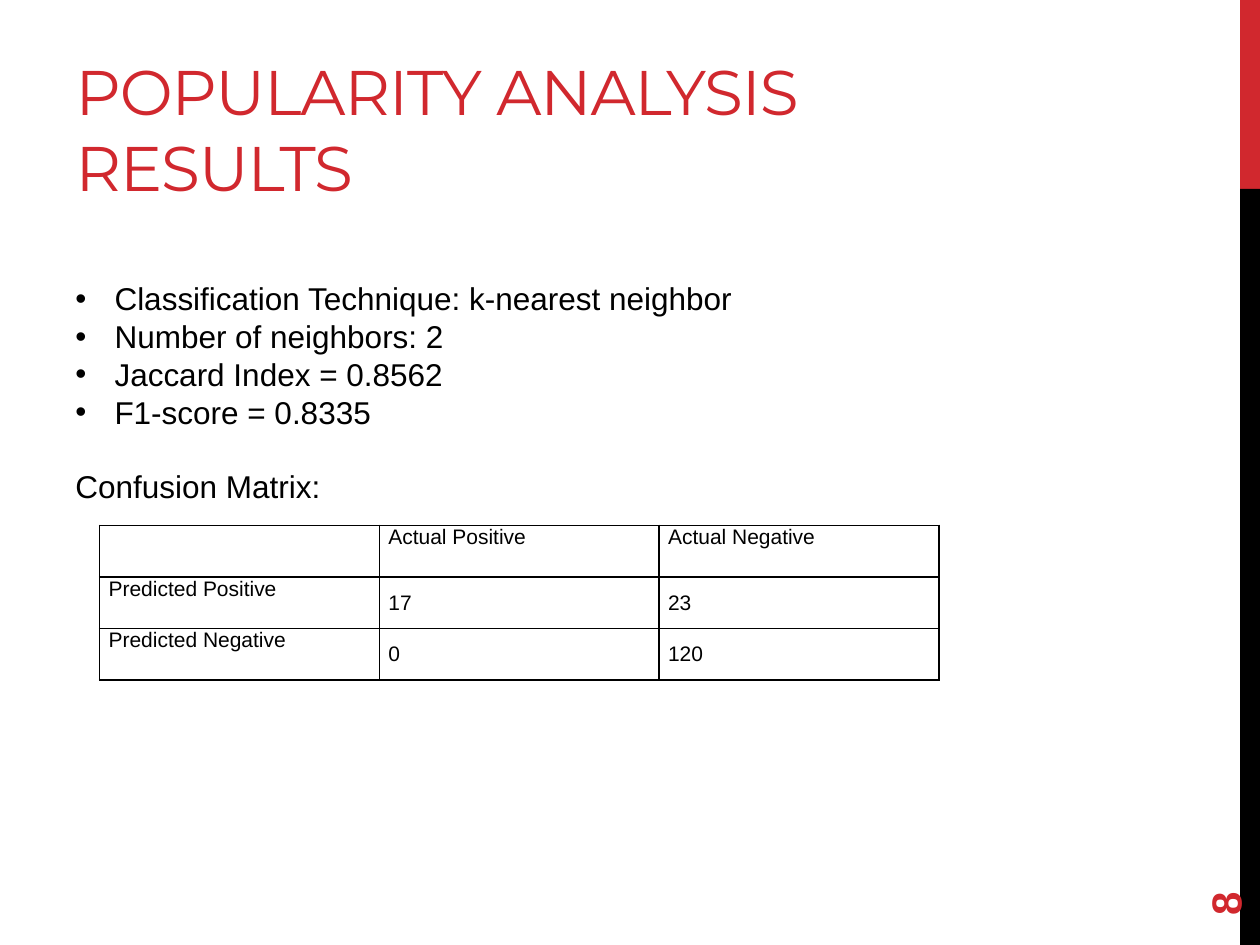
from lxml.etree import SubElement
from pptx import Presentation
from pptx.dml.color import RGBColor
from pptx.enum.shapes import MSO_SHAPE
from pptx.enum.text import MSO_ANCHOR, MSO_AUTO_SIZE, PP_ALIGN
from pptx.oxml.ns import qn
from pptx.util import Cm, Pt

RED, BLACK = "D1282E", "000000"
TITLE = "POPULARITY ANALYSIS\vRESULTS"
PAGE_NUMBER = "8"
FINDINGS = [
    "Classification Technique: k-nearest neighbor",
    "Number of neighbors: 2",
    "Jaccard Index = 0.8562",
    "F1-score = 0.8335",
]
MATRIX_HEADING = "Confusion Matrix:"
CONFUSION_MATRIX = [
    ["", "Actual Positive", "Actual Negative"],
    ["Predicted Positive", "17", "23"],
    ["Predicted Negative", "0", "120"],
]
SIDE_BARS = [(0, 3.81, RED), (3.81, 15.24, BLACK)]
COLUMN_WIDTH, ROW_HEIGHT = 5.64, 1.04


def rgb(value):
    return RGBColor.from_string(value)


def style(paragraph, size, color=BLACK, font="Arial", bold=False):
    paragraph.alignment = PP_ALIGN.LEFT
    for run in paragraph.runs:
        run.font.size = Pt(size)
        run.font.name = font
        run.font.bold = bold
        run.font.color.rgb = rgb(color)


def add_bullet(paragraph):
    properties = paragraph._p.get_or_add_pPr()
    properties.set("marL", str(Cm(0.79)))
    properties.set("indent", str(Cm(-0.79)))
    SubElement(properties, qn("a:buFont"), typeface="Arial")
    SubElement(properties, qn("a:buChar"), char="•")


def add_borders(cell):
    properties = cell._tc.get_or_add_tcPr()
    for side in ("lnL", "lnR", "lnT", "lnB"):
        line = SubElement(properties, qn(f"a:{side}"), w=str(Pt(1)))
        fill = SubElement(line, qn("a:solidFill"))
        SubElement(fill, qn("a:srgbClr"), val=BLACK)


def add_side_bars(slide):
    for top, height, color in SIDE_BARS:
        bar = slide.shapes.add_shape(
            MSO_SHAPE.RECTANGLE, Cm(25), Cm(top), Cm(0.4), Cm(height))
        bar.shadow.inherit = False
        bar.fill.solid()
        bar.fill.fore_color.rgb = rgb(color)
        bar.line.fill.background()


def add_title(slide):
    title = slide.shapes.title
    title.left, title.top, title.width, title.height = Cm(1.27), Cm(0.43), Cm(20.32), Cm(3.81)
    frame = title.text_frame
    frame.text = TITLE
    frame.auto_size = MSO_AUTO_SIZE.NONE
    frame.vertical_anchor = MSO_ANCHOR.BOTTOM
    style(frame.paragraphs[0], 36, RED, "Montserrat")
    for run in frame.paragraphs[0].runs:
        run.font._element.set("spc", "-60")


def add_page_number(slide):
    number = slide.shapes.add_textbox(Cm(22.86), Cm(16.36), Cm(3.66), Cm(1.02))
    number.rotation = 270
    frame = number.text_frame
    frame.word_wrap = True
    frame.vertical_anchor = MSO_ANCHOR.MIDDLE
    frame.text = PAGE_NUMBER
    style(frame.paragraphs[0], 24, RED, bold=True)


def add_findings(slide):
    findings = slide.shapes.add_textbox(Cm(1.27), Cm(5.51), Cm(18.42), Cm(4.88))
    frame = findings.text_frame
    frame.word_wrap = True
    frame.text = "\n".join(FINDINGS + [MATRIX_HEADING])
    for paragraph in frame.paragraphs:
        style(paragraph, 18)
    *bullets, heading = frame.paragraphs
    for paragraph in bullets:
        add_bullet(paragraph)
    heading.space_before = Pt(20.7)


def add_confusion_matrix(slide):
    rows, columns = len(CONFUSION_MATRIX), len(CONFUSION_MATRIX[0])
    table = slide.shapes.add_table(
        rows, columns, Cm(2.01), Cm(10.59),
        Cm(columns * COLUMN_WIDTH), Cm(rows * ROW_HEIGHT)).table
    table.first_row = table.horz_banding = False
    for r, labels in enumerate(CONFUSION_MATRIX):
        for c, label in enumerate(labels):
            cell = table.cell(r, c)
            cell.text = label
            cell.margin_left = cell.margin_right = Cm(0.18)
            cell.margin_top = cell.margin_bottom = 0
            cell.vertical_anchor = MSO_ANCHOR.MIDDLE if r and c else MSO_ANCHOR.TOP
            add_borders(cell)
            cell.fill.background()
            style(cell.text_frame.paragraphs[0], 12)


def main():
    deck = Presentation()
    deck.slide_width, deck.slide_height = Cm(25.4), Cm(19.05)
    slide = deck.slides.add_slide(deck.slide_layouts[5])
    add_side_bars(slide)
    add_title(slide)
    add_page_number(slide)
    add_findings(slide)
    add_confusion_matrix(slide)
    deck.save("out.pptx")


if __name__ == "__main__":
    main()
